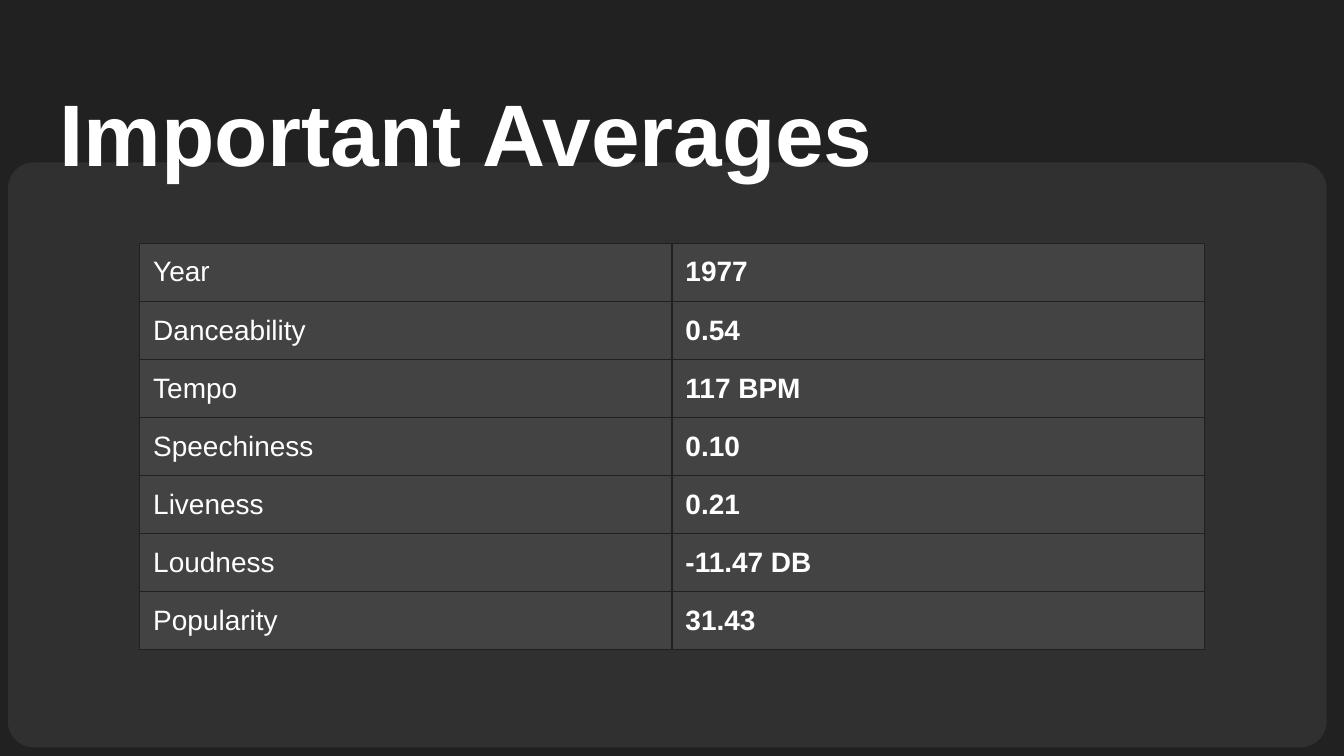
import pptx
import pptx.dml.color
import pptx.enum.shapes
import pptx.enum.text
import pptx.oxml
import pptx.oxml.ns
import pptx.util
from pptx.util import Inches

FONT = {"name": "Arial"}
INSETS = {f"margin_{side}": Inches(0.1) for side in ("left", "right", "top", "bottom")}
AVERAGES = [
    ("Year", "1977"),
    ("Danceability", "0.54"),
    ("Tempo", "117 BPM"),
    ("Speechiness", "0.10"),
    ("Liveness", "0.21"),
    ("Loudness", "-11.47 DB"),
    ("Popularity", "31.43"),
]


def rgb(value):
    return pptx.dml.color.RGBColor.from_string(value)


def apply(obj, values):
    for name, value in values.items():
        setattr(obj, name, value)


def paint(fill, color):
    fill.solid()
    fill.fore_color.rgb = rgb(color)


def write(p, text, size, bold):
    r = p.add_run()
    r.text = text
    apply(r.font, FONT | {"size": pptx.util.Pt(size), "bold": bold})
    r.font.color.rgb = rgb("FFFFFF")


def add_border(cell, color, width):
    tc_pr = cell._tc.get_or_add_tcPr()
    for i, side in enumerate(("lnL", "lnR", "lnT", "lnB")):
        ln = pptx.oxml.parse_xml(
            f'<a:{side} {pptx.oxml.ns.nsdecls("a")} w="{pptx.util.Pt(width)}">'
            f'<a:solidFill><a:srgbClr val="{color}"/></a:solidFill></a:{side}>'
        )
        tc_pr.insert(i, ln)


def add_panel(s, x, y, w, h):
    sp = s.shapes.add_shape(
        pptx.enum.shapes.MSO_SHAPE.ROUNDED_RECTANGLE,
        Inches(x), Inches(y), Inches(w), Inches(h),
    )
    sp.adjustments[0] = 0.04
    sp.shadow.inherit = False
    paint(sp.fill, "303030")
    paint(sp.line.fill, "303030")
    sp.line.width = pptx.util.Pt(3)
    s.shapes._spTree.insert(2, sp._element)


def add_title(s, text, x, y, w, h):
    sp = s.shapes.title
    apply(sp, {"left": Inches(x), "top": Inches(y), "width": Inches(w), "height": Inches(h)})
    tf = sp.text_frame
    apply(tf, INSETS | {
        "word_wrap": True,
        "auto_size": pptx.enum.text.MSO_AUTO_SIZE.NONE,
        "vertical_anchor": pptx.enum.text.MSO_ANCHOR.TOP,
    })
    p = tf.paragraphs[0]
    apply(p, {"alignment": pptx.enum.text.PP_ALIGN.LEFT, "line_spacing": 1.0})
    write(p, text, 46.8, True)


def add_averages(s, rows, x, y, w, h):
    table = s.shapes.add_table(
        len(rows), 2, Inches(x), Inches(y), Inches(w), Inches(h)
    ).table
    apply(table, {"first_row": False, "horz_banding": False})
    for i, row in enumerate(rows):
        for j, text in enumerate(row):
            cell = table.cell(i, j)
            apply(cell, INSETS)
            paint(cell.fill, "434343")
            add_border(cell, "212121", 0.75)
            write(cell.text_frame.paragraphs[0], text, 15, j == 1)


def add_averages_slide(prs):
    s = prs.slides.add_slide(prs.slide_layouts[5])
    paint(s.background.fill, "212121")
    add_panel(s, 0.08, 1.23, 9.77, 4.31)
    add_title(s, "Important Averages", 0.34, 0.49, 9.32, 0.63)
    add_averages(s, AVERAGES, 1.04, 1.81, 7.92, 0.42 * len(AVERAGES))


def main():
    prs = pptx.Presentation()
    apply(prs, {"slide_width": Inches(10), "slide_height": Inches(10) * 9 // 16})
    add_averages_slide(prs)
    prs.save("out.pptx")


if __name__ == "__main__":
    main()
